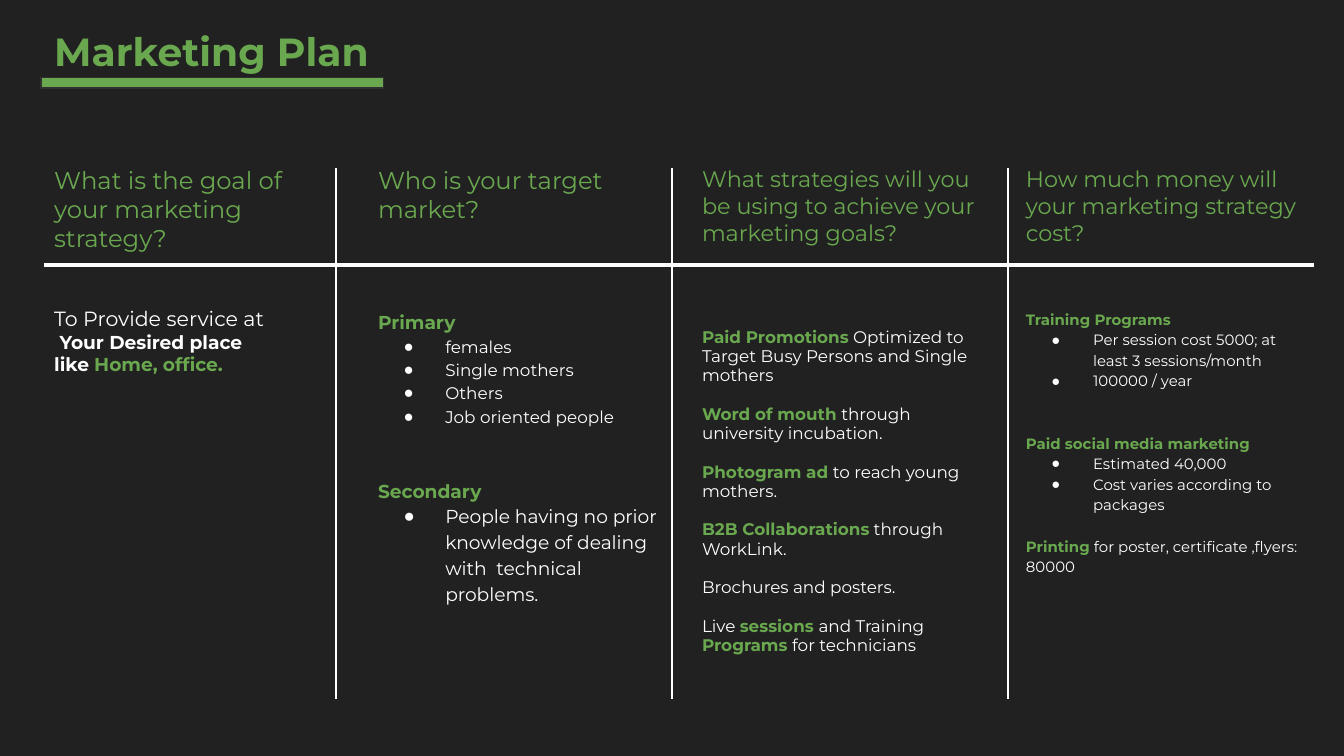
from lxml.etree import SubElement
from pptx import Presentation
from pptx.dml.color import RGBColor
from pptx.enum.shapes import MSO_CONNECTOR as Connector, MSO_SHAPE as Shape
from pptx.enum.text import MSO_ANCHOR as Anchor, PP_ALIGN as Align
from pptx.oxml.ns import qn
from pptx.util import Inches, Pt

DARK = RGBColor(0x21, 0x21, 0x21)
GREEN = RGBColor(0x6A, 0xA8, 0x4F)
WHITE = RGBColor(0xFF, 0xFF, 0xFF)
EDGE = RGBColor(0x30, 0x30, 0x30)
FONT, BULLET_FONT = "Montserrat", "Arial"

# Grid: four text columns, a heading row and a body row
WIDTH = 10
HEIGHT = WIDTH * 9 / 16
LEFT, STEP, COLUMN = 0.305, 2.41, 2.33
HEAD_TOP, HEAD_HEIGHT = 1.13, 0.83
BODY_TOP, BODY_HEIGHT = 2.19, 2.96
INSET, INDENT, HANG = 0.1, 0.5, 0.31


def add_panel(left, top, width, height, color):
    panel = page.shapes.add_shape(Shape.RECTANGLE, Inches(left), Inches(top),
                                  Inches(width), Inches(height))
    panel.shadow.inherit = False
    panel.fill.solid()
    panel.fill.fore_color.rgb = color
    panel.line.fill.background()
    return panel


def write(box, lines, spacing=1.0, top_inset=INSET):
    """Each line is (text, size, options); *stars* enclose green bold words."""
    frame = box.text_frame
    frame.word_wrap = True
    frame.vertical_anchor = Anchor.TOP
    frame.margin_left = frame.margin_right = frame.margin_bottom = Inches(INSET)
    frame.margin_top = Inches(top_inset)
    for index, (text, size, options) in enumerate(lines):
        para = frame.add_paragraph() if index else frame.paragraphs[0]
        if options.get("bullet"):
            props = para._p.get_or_add_pPr()
            props.set("marL", str(Inches(INDENT)))
            props.set("indent", str(-Inches(HANG)))
            SubElement(SubElement(props, qn("a:buClr")), qn("a:srgbClr"), val=str(WHITE))
            SubElement(props, qn("a:buFont"), typeface=BULLET_FONT)
            SubElement(props, qn("a:buChar"), char="●")
        para.alignment = Align.LEFT
        para.line_spacing = spacing
        para.space_before = Pt(options.get("gap", 0))
        para.font.name = FONT
        para.font.size = Pt(size)
        if "lead" in options:  # a first space in its own size
            space = para.add_run()
            space.text = " "
            space.font.size = Pt(options["lead"])
        for part, words in enumerate(text.split("*")):
            if words:
                accent = part % 2 == 1
                span = para.add_run()
                span.text = words
                span.font.bold = options.get("bold", accent)
                span.font.color.rgb = GREEN if accent else WHITE


BULLET = {"bullet": True}
GAP = {"gap": 10.4}

# Heading, heading size, body width, line spacing, top inset, body lines
columns = [
    ("What is the goal of your marketing strategy?", 13, 1.99, 0.95, INSET, [
        ("To Provide service at", 11, {}),
        ("Your Desired place", 10, {"bold": True, "lead": 11}),
        ("like* Home, office.*", 10, {"bold": True}),
    ]),
    ("Who is your target market?", 13, COLUMN, 1.15, INSET, [
        ("*Primary*", 10, {}),
        ("females", 9, BULLET),
        ("Single mothers", 9, BULLET),
        ("Others", 9, BULLET),
        ("Job oriented people", 9, BULLET),
        ("*Secondary*", 10, {"gap": 26.6}),
        ("People having no prior knowledge of dealing with  technical  problems.",
         10, BULLET),
    ]),
    ("What strategies will you be using to achieve your marketing goals?",
     12, COLUMN, 0.95, 0.25, [
         ("*Paid Promotions* Optimized to Target Busy Persons and Single mothers", 9, {}),
         ("*Word of mouth *through university incubation.", 9, GAP),
         ("*Photogram ad *to reach young mothers.", 9, GAP),
         ("*B2B Collaborations* through WorkLink.", 9, GAP),
         ("Brochures and posters.", 9, GAP),
         ("Live *sessions *and Training *Programs *for technicians", 9, GAP),
     ]),
    ("How much money will your marketing strategy cost?", 12, COLUMN, 1.15, INSET, [
        ("*Training Programs*", 8, {}),
        ("Per session cost 5000; at least 3 sessions/month", 8, BULLET),
        ("100000 / year", 8, BULLET),
        ("*Paid social media marketing*", 8, {"gap": 22.4}),
        ("Estimated 40,000", 8, BULLET),
        ("Cost varies according to packages", 8, BULLET),
        ("*Printing* for poster, certificate ,flyers: 80000", 8, {"gap": 11.2}),
    ]),
]

deck = Presentation()
deck.slide_width, deck.slide_height = Inches(WIDTH), Inches(HEIGHT)
page = deck.slides.add_slide(deck.slide_layouts[6])
page.background.fill.solid()
page.background.fill.fore_color.rgb = DARK

# Column headings and bodies
for index, (heading, size, width, spacing, top_inset, lines) in enumerate(columns):
    left = LEFT + index * STEP
    write(add_panel(left, HEAD_TOP, COLUMN, HEAD_HEIGHT, DARK),
          [(f"*{heading}*", size, {"bold": False})])
    write(add_panel(left, BODY_TOP, width, BODY_HEIGHT, DARK), lines, spacing, top_inset)

# Title
title = page.shapes.add_textbox(Inches(LEFT), Inches(0.1), Inches(4.39), Inches(0.55))
write(title, [("*Marketing Plan*", 21, {})])

# Rule under the headings, dividers at the quarters of the slide
rules = [(0.33, 1.97, 9.78, 1.97, 2.25)]
rules += [(WIDTH * k / 4, 1.25, WIDTH * k / 4, 5.2, 1.5) for k in (1, 2, 3)]
for x1, y1, x2, y2, weight in rules:
    rule = page.shapes.add_connector(Connector.STRAIGHT, Inches(x1), Inches(y1),
                                     Inches(x2), Inches(y2))
    rule.line.color.rgb = WHITE
    rule.line.width = Pt(weight)
    SubElement(rule._element.spPr, qn("a:effectLst"))

# Title underline
underline = add_panel(LEFT, 0.575, 2.55, 0.08, GREEN)
underline.line.color.rgb = EDGE
underline.line.width = Pt(0.75)

deck.save("out.pptx")
